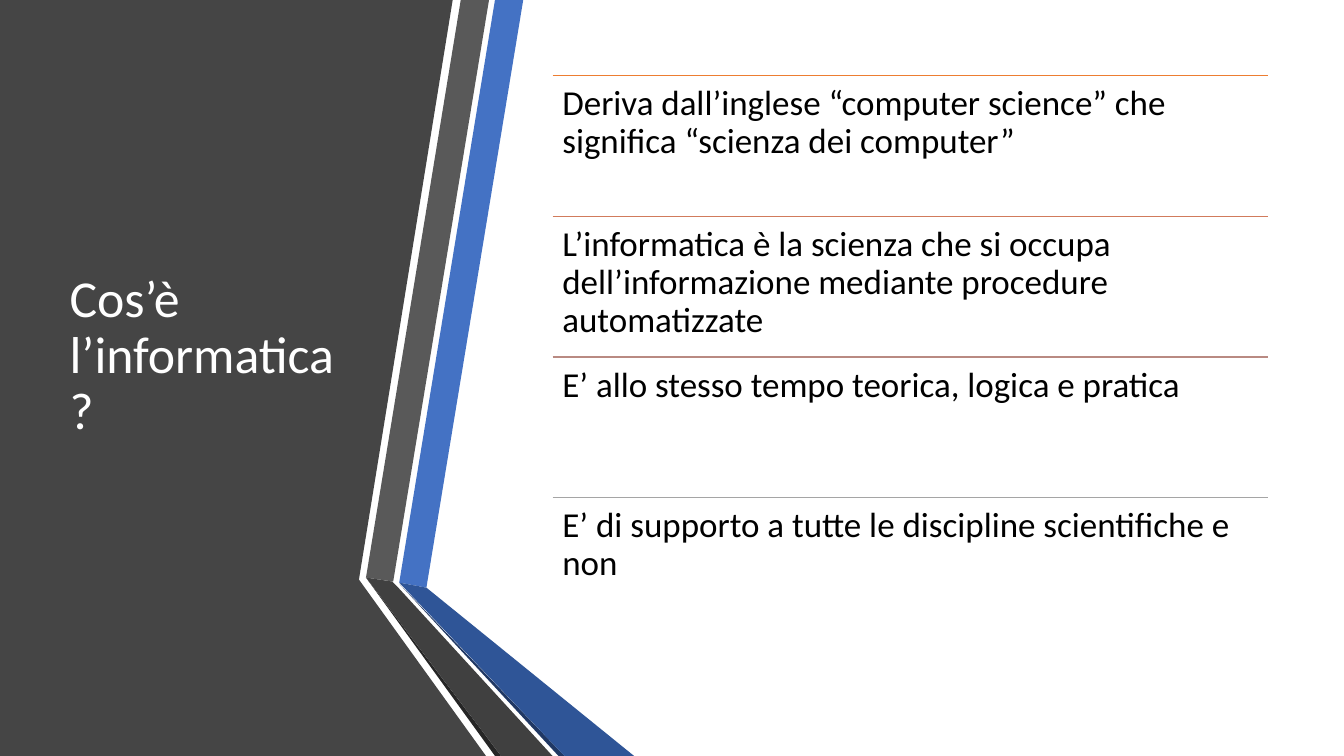
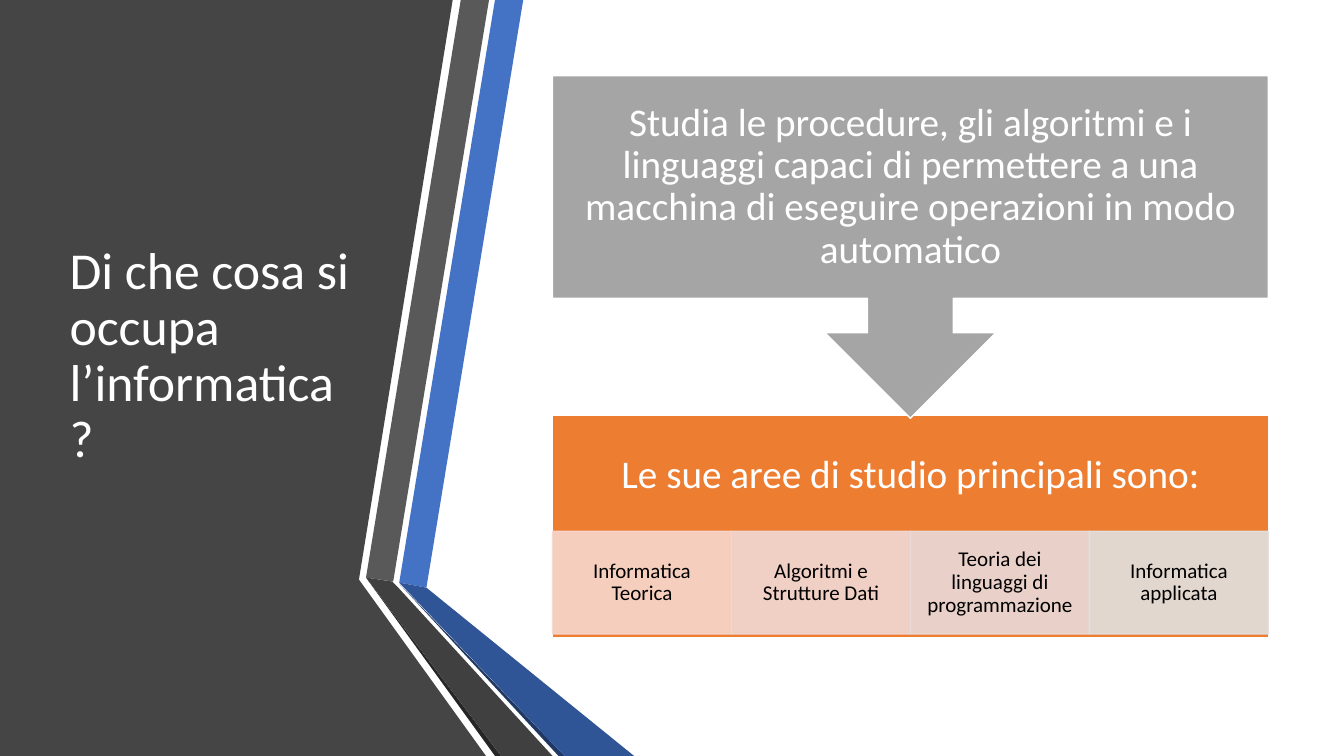
"""Build two slides introducing computer science, with a folded band beside the title."""
import pptx
import pptx.util
import pptx.dml.color
import pptx.enum.shapes
import pptx.enum.text
import pptx.oxml
import pptx.oxml.ns

Inches = pptx.util.Inches
RGBColor = pptx.dml.color.RGBColor
SHAPE = pptx.enum.shapes.MSO_SHAPE
ALIGN = pptx.enum.text.PP_ALIGN
ANCHOR = pptx.enum.text.MSO_ANCHOR

FONT = "Calibri"
WHITE = RGBColor(0xFF, 0xFF, 0xFF)
BLACK = RGBColor(0x00, 0x00, 0x00)
PANEL = RGBColor(0x45, 0x45, 0x45)
BLUE = RGBColor(0x44, 0x72, 0xC4)
BLUE_DARK = RGBColor(0x2F, 0x55, 0x97)
NAVY = RGBColor(0x20, 0x38, 0x64)
GRAY = RGBColor(0x59, 0x59, 0x59)
GRAY_DARK = RGBColor(0x40, 0x40, 0x40)
GRAY_DEEP = RGBColor(0x26, 0x26, 0x26)
ORANGE = RGBColor(0xED, 0x7D, 0x31)
COPPER = RGBColor(0xD1, 0x7B, 0x5C)
ROSE = RGBColor(0xB9, 0x8A, 0x82)
SILVER = RGBColor(0xA5, 0xA5, 0xA5)
PEACH = RGBColor(0xF8, 0xD7, 0xCE)
PINK = RGBColor(0xF1, 0xD8, 0xD4)
BLUSH = RGBColor(0xE9, 0xDB, 0xDA)
PALE = RGBColor(0xE1, 0xE1, 0xE1)

BANDS = [
    (PANEL, [(0, 0), (4.49, 0), (3.56, 5.75), (4.82, 7.5), (0, 7.5)]),
    (BLUE, [(3.96, 5.78), (4.23, 5.83), (5.19, 0), (4.91, 0)]),
    (GRAY, [(4.85, 0), (4.57, 0), (3.63, 5.73), (3.9, 5.77)]),
    (GRAY_DEEP, [(3.63, 5.73), (4.91, 7.5), (4.97, 7.5)]),
    (NAVY, [(3.96, 5.79), (5.54, 7.5), (5.6, 7.5)]),
    (BLUE_DARK, [(3.96, 5.78), (5.6, 7.5), (6.29, 7.5), (4.23, 5.83)]),
    (GRAY_DARK, [(5.48, 7.5), (3.95, 5.83), (3.89, 5.77), (3.63, 5.73), (4.97, 7.5)]),
]
LEFT, TOP, WIDTH = 5.48, 0.75, 7.1


def write(sp, text, size, color, align=ALIGN.LEFT, anchor=ANCHOR.MIDDLE, insets=(0.1, 0.05, 0.1, 0.05)):
    tf = sp.text_frame
    tf.word_wrap = True
    tf.auto_size = pptx.enum.text.MSO_AUTO_SIZE.NONE
    tf.vertical_anchor = anchor
    tf.margin_left, tf.margin_top, tf.margin_right, tf.margin_bottom = [Inches(v) for v in insets]
    p = tf.paragraphs[0]
    p.alignment = align
    p.line_spacing = 0.9
    r = p.add_run()
    r.text = text
    r.font.name = FONT
    r.font.size = pptx.util.Pt(size)
    r.font.color.rgb = color


def add_block(s, preset, x, y, w, h, fill, line):
    sp = s.shapes.add_shape(preset, Inches(x), Inches(y), Inches(w), Inches(h))
    sp.shadow.inherit = False
    sp.fill.solid()
    sp.fill.fore_color.rgb = fill
    sp.line.color.rgb = line
    sp.line.width = pptx.util.Pt(1)
    return sp


prs = pptx.Presentation()
prs.slide_width, prs.slide_height = Inches(13.33), Inches(7.5)

slides = []
for heading in ["Cos’è l’informatica?", "Di che cosa si occupa l’informatica?"]:
    s = prs.slides.add_slide(prs.slide_layouts[5])
    for color, points in BANDS:
        corners = [(Inches(x), Inches(y)) for x, y in points]
        builder = s.shapes.build_freeform(*corners[0])
        builder.add_line_segments(corners[1:], close=True)
        band = builder.convert_to_shape()
        band.shadow.inherit = False
        band.fill.solid()
        band.fill.fore_color.rgb = color
        band.line.fill.background()
    title = s.shapes.title
    s.shapes.element.append(title.element)
    title.left, title.top, title.width, title.height = Inches(0.59), Inches(0.75), Inches(3.04), Inches(5.58)
    write(title, heading, 37, WHITE)
    slides.append(s)
definition, scope = slides

statements = [
    ("Deriva dall’inglese “computer science” che significa “scienza dei computer”", ORANGE),
    ("L’informatica è la scienza che si occupa dell’informazione mediante procedure automatizzate", COPPER),
    ("E’ allo stesso tempo teorica, logica e pratica", ROSE),
    ("E’ di supporto a tutte le discipline scientifiche e non", SILVER),
]
row_height = 5.58 / len(statements)
for i, (text, color) in enumerate(statements):
    y = Inches(TOP + i * row_height)
    rule = definition.shapes.add_connector(
        pptx.enum.shapes.MSO_CONNECTOR.STRAIGHT, Inches(LEFT), y, Inches(LEFT + WIDTH), y)
    rule.line.color.rgb = color
    rule.line.width = pptx.util.Pt(1)
    rule.element.spPr.append(pptx.oxml.parse_xml(
        f"<a:effectLst {pptx.oxml.ns.nsdecls('a')}/>"))
    box = definition.shapes.add_textbox(Inches(LEFT), y, Inches(WIDTH), Inches(row_height))
    write(box, text, 25, BLACK, anchor=ANCHOR.TOP, insets=(0.1,) * 4)

areas_block = add_block(scope, SHAPE.RECTANGLE, LEFT, 4.12, WIDTH, 2.21, ORANGE, WHITE)
write(areas_block, "Le sue aree di studio principali sono:", 28, WHITE,
      align=ALIGN.CENTER, insets=(0.22, 0.22, 0.22, 1.24))

areas = [
    ("Informatica Teorica", PEACH),
    ("Algoritmi e Strutture Dati", PINK),
    ("Teoria dei linguaggi di programmazione", BLUSH),
    ("Informatica applicata", PALE),
]
area_width = WIDTH / len(areas)
for i, (text, color) in enumerate(areas):
    area = add_block(scope, SHAPE.RECTANGLE, LEFT + i * area_width, 5.27, area_width, 1.02, color, color)
    for clr in area.element.spPr.iter(pptx.oxml.ns.qn("a:srgbClr")):
        clr.append(pptx.oxml.parse_xml(f"<a:alpha {pptx.oxml.ns.nsdecls('a')} val='90000'/>"))
    write(area, text, 15, BLACK, align=ALIGN.CENTER, insets=(0.12, 0.02, 0.12, 0.02))

callout = add_block(scope, SHAPE.DOWN_ARROW_CALLOUT, LEFT, TOP, WIDTH, 3.4, SILVER, WHITE)
write(callout, "Studia le procedure, gli algoritmi e i linguaggi capaci di permettere a una macchina "
      "di eseguire operazioni in modo automatico", 28, WHITE, align=ALIGN.CENTER, insets=(0.22,) * 4)

prs.save("out.pptx")
